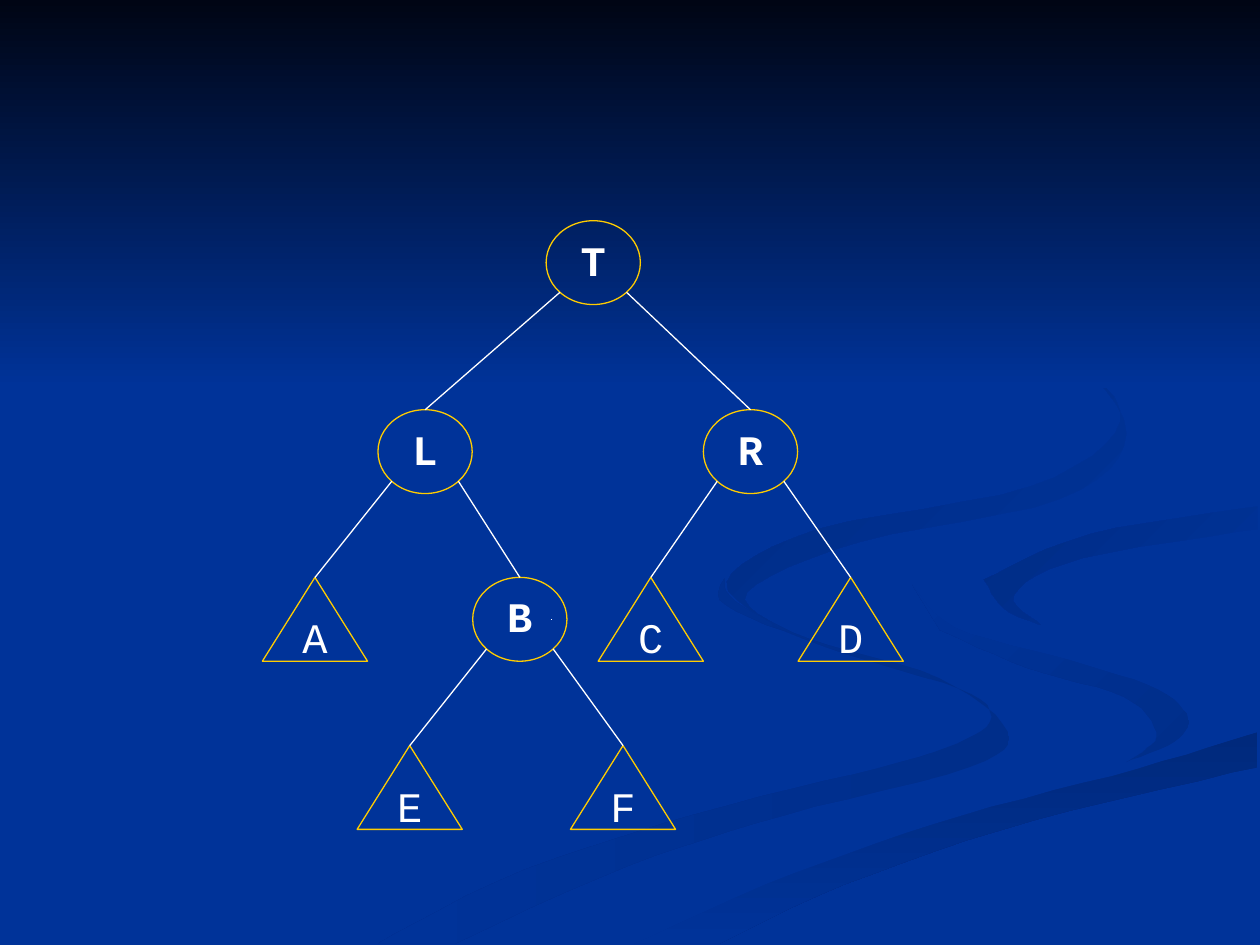
from math import sqrt
from lxml.etree import SubElement
from pptx import Presentation
from pptx.dml.color import RGBColor
from pptx.enum.shapes import MSO_CONNECTOR as CONN, MSO_SHAPE as SHAPE
from pptx.enum.text import MSO_ANCHOR as ANCHOR, PP_ALIGN as ALIGN
from pptx.oxml.ns import qn
from pptx.util import Cm, Pt

BLUE, GOLD, WHITE = "003399", "FFCC00", "FFFFFF"
NODE_H = 1.69
NODE_W = {SHAPE.OVAL: 1.9, SHAPE.ISOSCELES_TRIANGLE: 2.12}
LEVELS = [4.45, 8.26, 11.64, 15.03]
UNIT = Cm(0.0254)
STEPS = 6

INNER_NODES = {"T": (11.96, 0), "L": (8.57, 1), "R": (15.13, 1), "B": (10.48, 2)}
SUBTREES = {"A": (6.35, 2), "C": (13.12, 2), "D": (17.15, 2),
            "E": (8.26, 3), "F": (12.56, 3)}
CHILDREN = {"T": "LR", "L": "AB", "R": "CD", "B": "EF"}

BEND = [(724, 464), (758, 498), (850, 524), (919, 547), (943, 570), (932, 589),
        (894, 605)]
SHORE = [(503, 749), (630, 693), (764, 647), (903, 610), (998, 581)]
MOUTH = [(781, 460), (865, 424), (998, 402)]

RIBBONS = [
    ("002E8A", BLUE, 180, [
        [(575, 459), (583, 477), (642, 507), (745, 538), (800, 581), (769, 609),
         (623, 647), (499, 687), (361, 749)],
        [(300, 749), (417, 690), (579, 639), (714, 605), (774, 583), (786, 566),
         (762, 547), (654, 513), (576, 480), (575, 459)]]),
    ("002E8A", BLUE, 225, [
        BEND, [(907, 597), (918, 581), (892, 553), (815, 530), (746, 500)]]),
    ("00297C", BLUE, 90, [
        SHORE, [(998, 609), (821, 651), (670, 702), (571, 749)]]),
    (BLUE, BLUE, 0, [
        [(999, 387), (874, 408), (755, 432), (724, 464)], BEND,
        [(894, 605), (663, 668), (477, 749)], SHORE,
        [(999, 538), (866, 509), (781, 460)], MOUTH]),
    (BLUE, "002C85", 225, [
        MOUTH, [(998, 420), (859, 443), (805, 472), (826, 496)],
        [(826, 496), (797, 483), (781, 460)]]),
    (BLUE, "002B81", 225, [
        [(762, 233), (843, 275), (894, 344), (841, 396), (683, 430), (593, 470),
         (622, 500)],
        [(622, 500), (577, 462), (649, 420), (818, 386), (889, 335), (846, 279),
         (762, 233)]]),
]


def color(value):
    return RGBColor.from_string(value)


def set_line(sp, value):
    sp.line.color.rgb = color(value)
    sp.line.width = Pt(0.74)


def set_format(obj, values):
    for name, value in values.items():
        setattr(obj, name, value)


def blend(a, b, c, d, t):
    return (2 * b + (c - a) * t + (2 * a - 5 * b + 4 * c - d) * t ** 2
            + (3 * b - a - 3 * c + d) * t ** 3) / 2


def smooth_edge(knots):
    ends = [knots[0], *knots, knots[-1]]
    curve = [tuple(blend(*axis, step / STEPS) for axis in zip(*ends[i:i + 4]))
             for i in range(len(knots) - 1) for step in range(STEPS)]
    return curve + [knots[-1]]


def paint(sp, first, last, angle):
    sp.shadow.inherit = False
    sp.line.fill.background()
    if first == last:
        sp.fill.solid()
        sp.fill.fore_color.rgb = color(first)
        return
    sp.fill.gradient()
    sp.fill.gradient_angle = 360 - angle
    for position, value in enumerate((first, last)):
        stop = sp.fill.gradient_stops[position]
        stop.color.rgb = color(value)
        stop.position = position


def add_ribbon(slide, first, last, angle, edges):
    points = [point for edge in edges for point in smooth_edge(edge)]
    builder = slide.shapes.build_freeform(*points[0], scale=UNIT)
    builder.add_line_segments(points[1:], close=True)
    paint(builder.convert_to_shape(), first, last, angle)


def add_sky(slide):
    sp = slide.shapes.add_shape(SHAPE.RECTANGLE, 0, 0, Cm(25.4), Cm(7.82))
    paint(sp, "000514", BLUE, 90)


def add_node(slide, label, kind, center, level):
    width = NODE_W[kind]
    sp = slide.shapes.add_shape(kind, Cm(center - width / 2), Cm(LEVELS[level]),
                                Cm(width), Cm(NODE_H))
    sp.shadow.inherit = False
    sp.fill.background()
    set_line(sp, GOLD)
    tf = sp.text_frame
    set_format(tf, {"word_wrap": False, "vertical_anchor": ANCHOR.MIDDLE})
    p = tf.paragraphs[0]
    set_format(p, {"alignment": ALIGN.CENTER, "line_spacing": 0.9,
                   "space_before": Pt(6)})
    r = p.add_run()
    r.text = label
    set_format(r.font, {"name": "Courier New", "size": Pt(24),
                        "bold": kind == SHAPE.OVAL})
    r.font.color.rgb = color(WHITE)


def add_line(slide, x1, y1, x2, y2):
    line = slide.shapes.add_connector(CONN.STRAIGHT, Cm(x1), Cm(y1), Cm(x2), Cm(y2))
    set_line(line, WHITE)
    SubElement(line._element.spPr, qn("a:effectLst"))


def add_branches(slide, parent, children):
    nodes = INNER_NODES | SUBTREES
    x, level = nodes[parent]
    dx = NODE_W[SHAPE.OVAL] / 2 / sqrt(2)
    y = LEVELS[level] + NODE_H / 2 * (1 + 1 / sqrt(2))
    for side, child in zip((-1, 1), children):
        child_x, child_level = nodes[child]
        add_line(slide, x + side * dx, y, child_x, LEVELS[child_level])


def main():
    prs = Presentation()
    prs.slide_width, prs.slide_height = Cm(25.4), Cm(19.05)
    slide = prs.slides.add_slide(prs.slide_layouts[6])
    fill = slide.background.fill
    fill.solid()
    fill.fore_color.rgb = color(BLUE)
    for ribbon in RIBBONS:
        add_ribbon(slide, *ribbon)
    add_sky(slide)
    for kind, nodes in ((SHAPE.OVAL, INNER_NODES),
                        (SHAPE.ISOSCELES_TRIANGLE, SUBTREES)):
        for label, place in nodes.items():
            add_node(slide, label, kind, *place)
    for parent, children in CHILDREN.items():
        add_branches(slide, parent, children)
    add_line(slide, 11.11, 12.49, 11.12, 12.49)
    prs.save("out.pptx")


main()
